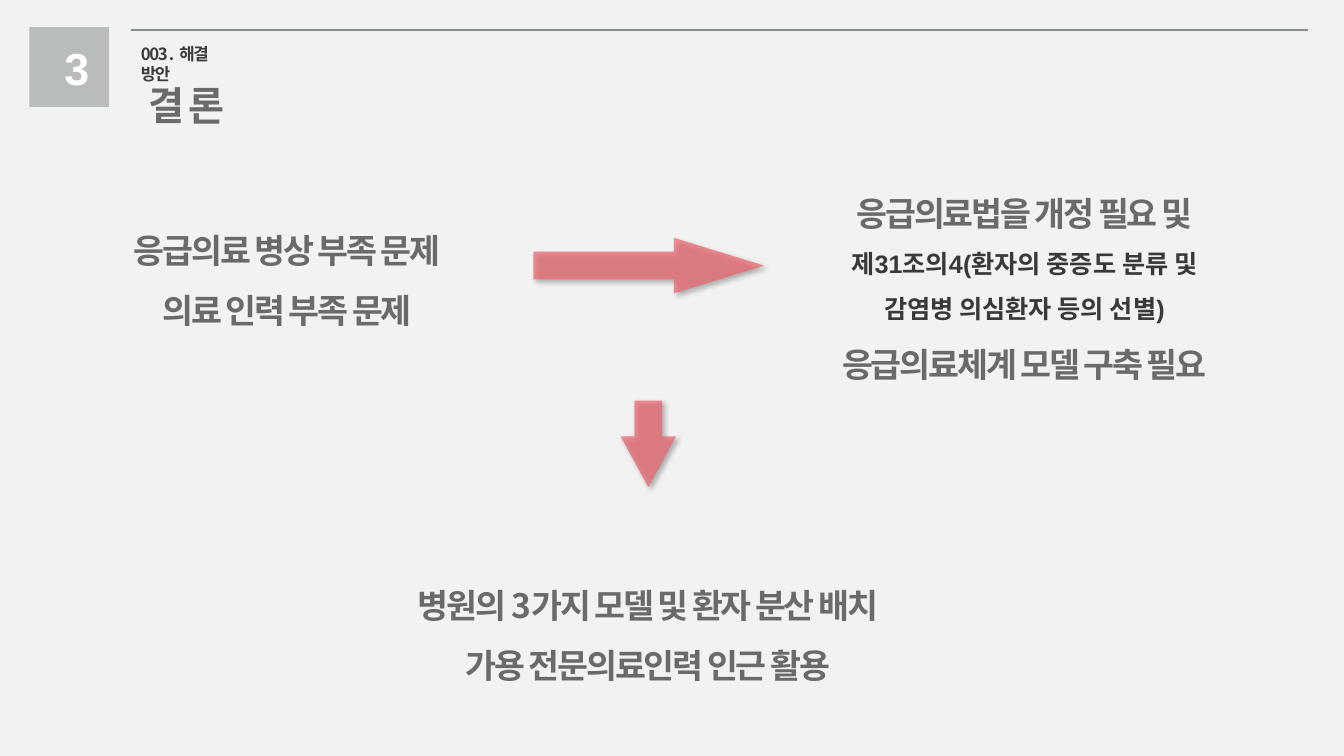
from lxml import etree
from pptx import Presentation
from pptx.dml.color import RGBColor
from pptx.enum import shapes, text
from pptx.oxml import ns
from pptx.util import Inches, Pt

BACKGROUND = RGBColor(0xF2, 0xF2, 0xF2)
GREY = RGBColor(0x6C, 0x69, 0x69)
DARK = RGBColor(0x3A, 0x38, 0x38)
LABEL = RGBColor(0x3C, 0x3C, 0x3C)
RULE = RGBColor(0x89, 0x8F, 0x8D)
TILE = RGBColor(0xB8, 0xBC, 0xBB)
RED = RGBColor(0xED, 0x63, 0x6D)
WHITE = RGBColor(0xFF, 0xFF, 0xFF)
KOREAN = "Noto Sans CJK KR"

# Run styles: size, font, colour, letter spacing, outline colour
HEADING = (24, KOREAN, GREY, -1.5, DARK)
TITLE = (28, KOREAN, GREY, -1.5, DARK)
SECTION = (12, KOREAN, LABEL, -1, LABEL)
ARTICLE = (18, "Arial", DARK, 0, None)
NUMBER = (32, "Arial", WHITE, 0, None)


def sub(parent, tag, **attrs):
    return etree.SubElement(parent, ns.qn(tag), {k: str(v) for k, v in attrs.items()})


def faint_color(parent, color, alpha):
    sub(sub(parent, "a:srgbClr", val=color), "a:alpha", val=alpha * 1000)


def style_run(r, style):
    size, font, color, spacing, outline = style
    r.font.size, r.font.bold, r.font.name = Pt(size), True, font
    r.font.color.rgb = color
    rPr = r._r.get_or_add_rPr()
    rPr.set("spc", str(int(spacing * 100)))
    ea = etree.Element(ns.qn("a:ea"), typeface=KOREAN)
    rPr.find(ns.qn("a:latin")).addnext(ea)
    if outline is not None:
        ln = etree.Element(ns.qn("a:ln"), w=str(Pt(1.6)))
        faint_color(sub(ln, "a:solidFill"), outline, 6)
        rPr.insert(0, ln)


def fill_text(sp, lines, align, spacing):
    tf = sp.text_frame
    tf.word_wrap = True
    tf.auto_size = text.MSO_AUTO_SIZE.SHAPE_TO_FIT_TEXT
    tf.vertical_anchor = text.MSO_ANCHOR.TOP
    for i, (line, style) in enumerate(lines):
        p = tf.add_paragraph() if i else tf.paragraphs[0]
        p.alignment, p.line_spacing = align, spacing
        p.space_before = Pt(0)
        r = p.add_run()
        r.text = line
        style_run(r, style)


def add_text(s, box, lines, align=text.PP_ALIGN.CENTER, spacing=1.5):
    sp = s.shapes.add_textbox(*map(Inches, box))
    fill_text(sp, lines, align, spacing)


def add_title(s, box, line):
    sp = s.shapes.title
    sp.left, sp.top, sp.width, sp.height = map(Inches, box)
    fill_text(sp, [(line, TITLE)], text.PP_ALIGN.CENTER, 1.3)


def add_block(s, kind, box, color):
    sp = s.shapes.add_shape(kind, *map(Inches, box))
    sp.shadow.inherit = False
    sp.fill.solid()
    sp.fill.fore_color.rgb = color
    sp.line.fill.background()
    return sp


def add_arrow(s, box, head, rotation=0):
    sp = add_block(s, shapes.MSO_SHAPE.RIGHT_ARROW, box, RED)
    sp.rotation = rotation
    sp.adjustments[0], sp.adjustments[1] = 0.5, head
    spPr = sp._element.spPr
    color = spPr.find(ns.qn("a:solidFill")).find(ns.qn("a:srgbClr"))
    sub(color, "a:alpha", val=70000)
    shadow = sub(spPr.find(ns.qn("a:effectLst")), "a:outerShdw", blurRad=Pt(4),
                 dist=Pt(3), dir=45 * 60000, algn="tl", rotWithShape=0)
    faint_color(shadow, "000000", 40)


def add_rule(s, x1, x2, y):
    line = s.shapes.add_connector(shapes.MSO_CONNECTOR.STRAIGHT,
                                  Inches(x1), Inches(y), Inches(x2), Inches(y))
    line.line.color.rgb, line.line.width = RULE, Pt(1.5)
    sub(line._element.spPr, "a:effectLst")


def main():
    prs = Presentation()
    prs.slide_width, prs.slide_height = Inches(13.33), Inches(7.5)
    s = prs.slides.add_slide(prs.slide_layouts[5])
    s.background.fill.solid()
    s.background.fill.fore_color.rgb = BACKGROUND

    # Header
    add_rule(s, 1.3, 12.97, 0.3)
    add_block(s, shapes.MSO_SHAPE.RECTANGLE, (0.29, 0.27, 0.79, 0.79), TILE)
    add_text(s, (0.54, 0.35, 0.28, 0.64), [("3", NUMBER)], spacing=1.0)
    add_text(s, (1.3, 0.38, 1.0, 0.3), [("003 .  해결 방안", SECTION)],
             text.PP_ALIGN.LEFT, 1.0)
    add_title(s, (1.32, 0.62, 1.06, 0.65), "결 론")

    # Problems
    add_text(s, (0.82, 2.03, 4.06, 1.23),
             [("응급의료 병상 부족 문제", HEADING), ("의료 인력 부족 문제", HEADING)])
    add_arrow(s, (5.29, 2.36, 2.29, 0.55), 1.63)

    # Legal changes
    add_text(s, (7.98, 1.66, 4.36, 2.14), [
        ("응급의료법을 개정 필요 및", HEADING),
        ("제31조의4(환자의 중증도 분류 및 감염병 의심환자 등의 선별)", ARTICLE),
        ("응급의료체계 모델 구축 필요", HEADING)])
    add_arrow(s, (6, 4.13, 0.86, 0.55), 0.92, 90)

    # Solutions
    add_text(s, (3.39, 5.55, 6.07, 1.23),
             [("병원의 3가지 모델 및 환자 분산 배치", HEADING),
              ("가용 전문의료인력 인근 활용", HEADING)])

    prs.save("out.pptx")


if __name__ == "__main__":
    main()
